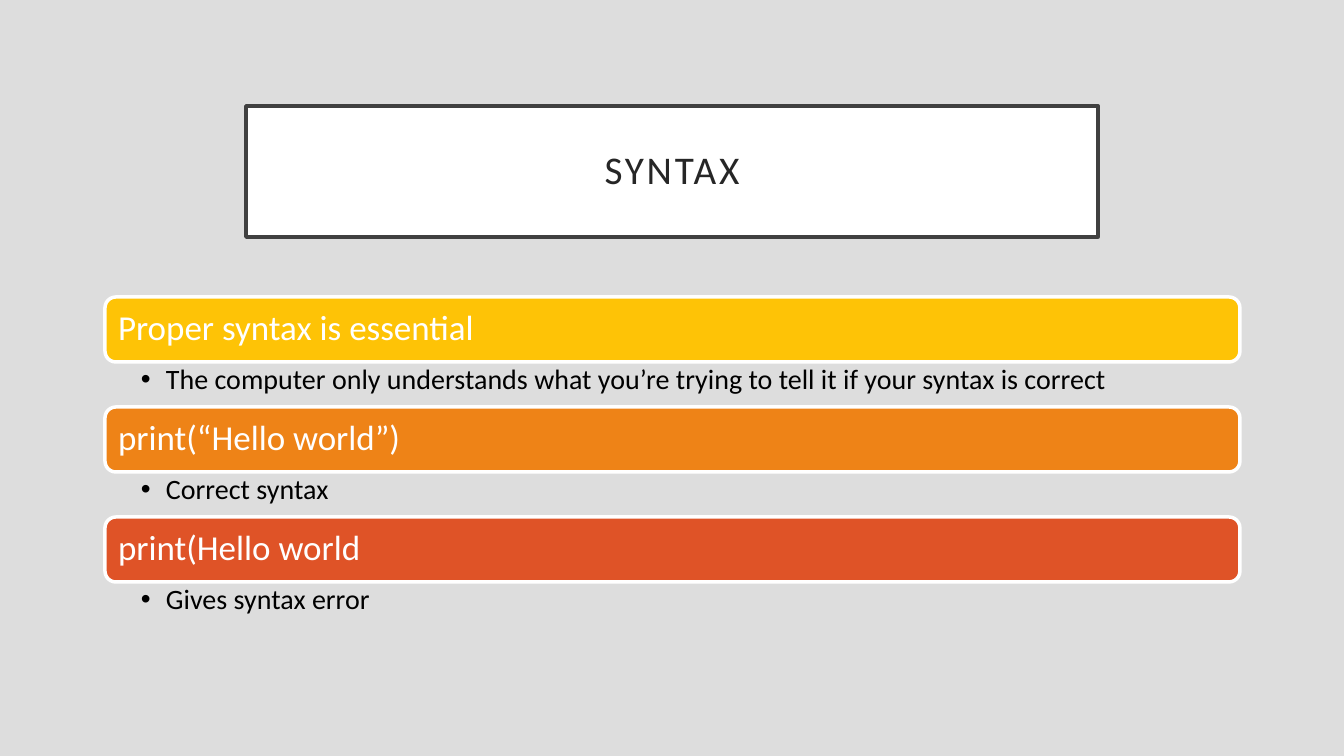
from dataclasses import dataclass

from lxml.etree import SubElement
from pptx import Presentation
from pptx.dml.color import RGBColor
from pptx.enum.shapes import MSO_SHAPE
from pptx.enum.text import MSO_ANCHOR, PP_ALIGN
from pptx.oxml.ns import qn
from pptx.util import Emu, Pt

EMU_PER_PX = 914400 / 100.8


@dataclass(frozen=True)
class Theme:
    font: str = "Calibri"
    background: str = "DDDDDD"
    white: str = "FFFFFF"
    frame: str = "404040"
    title_text: str = "262626"
    detail_text: str = "000000"
    title_size: int = 28
    heading_size: int = 25
    detail_size: int = 20
    line_width: float = 2.5
    line_spacing: float = 0.9


THEME = Theme()

# Heading, detail and bar colour of each section
SECTIONS = [
    ("Proper syntax is essential",
     "The computer only understands what you’re trying to tell it if your syntax is correct",
     "FEC306"),
    ("print(“Hello world”)", "Correct syntax", "EE8317"),
    ("print(Hello world", "Gives syntax error", "DF5327"),
]

# Section layout in px
SECTION_LEFT, SECTION_TOP, SECTION_WIDTH = 105, 297, 1135
BAR_HEIGHT, DETAIL_HEIGHT = 65, 45


def px(value):
    return Emu(round(value * EMU_PER_PX))


def rgb(value):
    return RGBColor.from_string(value)


def write_text(shape, text, *, size, color, align=PP_ALIGN.LEFT,
               anchor=MSO_ANCHOR.MIDDLE, insets=(10, 10, 10, 10),
               tracking=0, bullet_indent=0):
    frame = shape.text_frame
    frame.word_wrap = True
    frame.vertical_anchor = anchor
    (frame.margin_left, frame.margin_top,
     frame.margin_right, frame.margin_bottom) = map(px, insets)
    paragraph = frame.paragraphs[0]
    paragraph.alignment = align
    paragraph.line_spacing = THEME.line_spacing
    if bullet_indent:
        properties = paragraph._p.get_or_add_pPr()
        properties.set("marL", str(px(bullet_indent)))
        properties.set("indent", str(-px(bullet_indent)))
        SubElement(properties, qn("a:buFont"), typeface="Arial")
        SubElement(properties, qn("a:buChar"), char="•")
    run = paragraph.add_run()
    run.text = text
    run.font.name = THEME.font
    run.font.size = Pt(size)
    run.font.color.rgb = rgb(color)
    if tracking:
        run.font._element.set("spc", str(tracking * 100))


def add_box(slide, kind, left, top, width, height, fill, line):
    shape = slide.shapes.add_shape(kind, px(left), px(top), px(width), px(height))
    shape.shadow.inherit = False
    shape.fill.solid()
    shape.fill.fore_color.rgb = rgb(fill)
    shape.line.color.rgb = rgb(line)
    shape.line.width = Pt(THEME.line_width)
    return shape


def add_title(slide, text):
    box = add_box(slide, MSO_SHAPE.RECTANGLE, 246, 106, 852, 131,
                  THEME.white, THEME.frame)
    write_text(box, text, size=THEME.title_size, color=THEME.title_text,
               align=PP_ALIGN.CENTER, insets=(20, 20, 20, 20), tracking=2)


def add_section(slide, top, heading, detail, color):
    bar = add_box(slide, MSO_SHAPE.ROUNDED_RECTANGLE, SECTION_LEFT, top,
                  SECTION_WIDTH, BAR_HEIGHT, color, THEME.white)
    write_text(bar, heading, size=THEME.heading_size, color=THEME.white)
    box = slide.shapes.add_textbox(px(SECTION_LEFT), px(top + BAR_HEIGHT),
                                   px(SECTION_WIDTH), px(DETAIL_HEIGHT))
    write_text(box, detail, size=THEME.detail_size, color=THEME.detail_text,
               anchor=MSO_ANCHOR.TOP, insets=(36, 3, 19, 3), bullet_indent=25)


def main():
    presentation = Presentation()
    presentation.slide_width, presentation.slide_height = px(1344), px(756)
    slide = presentation.slides.add_slide(presentation.slide_layouts[6])

    # Background
    slide.background.fill.solid()
    slide.background.fill.fore_color.rgb = rgb(THEME.background)

    # Title
    add_title(slide, "SYNTAX")

    # Sections, stacked without gaps
    for index, section in enumerate(SECTIONS):
        add_section(slide, SECTION_TOP + index * (BAR_HEIGHT + DETAIL_HEIGHT), *section)

    presentation.save("out.pptx")


if __name__ == "__main__":
    main()
